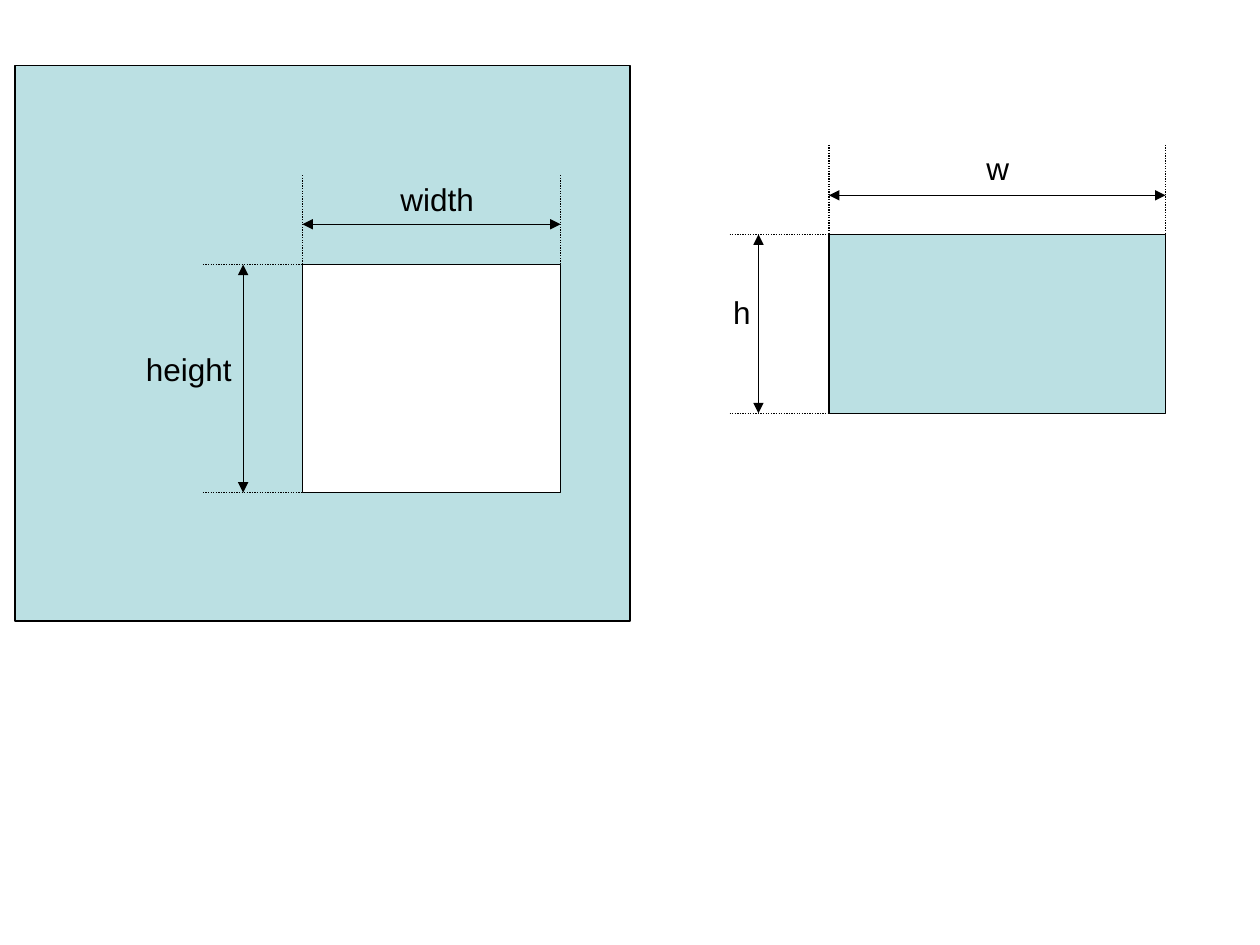
from pptx import Presentation
from pptx.dml.color import RGBColor
from pptx.enum import dml, shapes, text
from pptx.oxml.ns import qn
from pptx.util import Inches, Pt
from lxml import etree

rgb = RGBColor.from_string
BLACK, WHITE, TEAL = "000000", "FFFFFF", "BBE0E3"
EXTENSION = 0.79  # length of the dotted lines beside a box
RISE = 0.71       # length of the dotted lines above a box


def add_line(parent, x1, y1, x2, y2, arrows=False):
    """Draw a double-headed dimension line or a dotted extension line."""
    ln = parent.add_connector(shapes.MSO_CONNECTOR.STRAIGHT,
                              Inches(x1), Inches(y1), Inches(x2), Inches(y2))
    ln.line.color.rgb = rgb(BLACK)
    ln.line.width = Pt(0.75)
    sppr = ln._element.spPr
    if arrows:
        for end in ("a:headEnd", "a:tailEnd"):
            etree.SubElement(sppr.find(qn("a:ln")), qn(end), type="triangle")
    else:
        ln.line.dash_style = dml.MSO_LINE.ROUND_DOT
    etree.SubElement(sppr, qn("a:effectLst"))


def add_label(parent, words, left, top, width, height=0.4,
              size=18, font="Arial", color=BLACK):
    tb = parent.add_textbox(Inches(left), Inches(top), Inches(width), Inches(height))
    tf = tb.text_frame
    tf.word_wrap = False
    tf.auto_size = text.MSO_AUTO_SIZE.SHAPE_TO_FIT_TEXT
    r = tf.paragraphs[0].add_run()
    r.text = words
    r.font.size = Pt(size)
    r.font.name = font
    r.font.color.rgb = rgb(color)


prs = Presentation()
prs.slide_width, prs.slide_height = Inches(10), Inches(7.5)
slide = prs.slides.add_slide(prs.slide_layouts[6])
group = slide.shapes.add_group_shape()

# Boxes: the large panel, the solid box and the opening in the panel
solid = (6.58, 1.86, 2.67, 1.42)
opening = (2.4, 2.1, 2.05, 1.81)
for parent, box, fill in [
    (slide.shapes, (0.12, 0.52, 4.88, 4.41), TEAL),
    (slide.shapes, solid, TEAL),
    (group.shapes, opening, WHITE),
]:
    sp = parent.add_shape(shapes.MSO_SHAPE.RECTANGLE, *map(Inches, box))
    sp.shadow.inherit = False
    sp.fill.solid()
    sp.fill.fore_color.rgb = rgb(fill)
    sp.line.color.rgb = rgb(BLACK)
    sp.line.width = Pt(0.75)

# Dimensions: gaps run from the box to its two arrows
for parent, (x, y, w, h), gap_above, gap_left in [
    (slide.shapes, solid, 0.31, 0.56),
    (group.shapes, opening, 0.32, 0.47),
]:
    for edge in (x, x + w):
        add_line(parent, edge, y - RISE, edge, y)
    for edge in (y, y + h):
        add_line(parent, x - EXTENSION, edge, x, edge)
    add_line(parent, x, y - gap_above, x + w, y - gap_above, arrows=True)
    add_line(parent, x - gap_left, y, x - gap_left, y + h, arrows=True)

# Labels
add_label(slide.shapes, "h", 5.72, 2.28, 0.34)
add_label(slide.shapes, "w", 7.73, 1.13, 0.38)
add_label(group.shapes, "width", 3.08, 1.38, 0.8)
add_label(group.shapes, "height", 1.06, 2.73, 0.9)

# Bring the grouped opening in front of the panel
slide.shapes._spTree.append(group._element)

prs.save("out.pptx")
